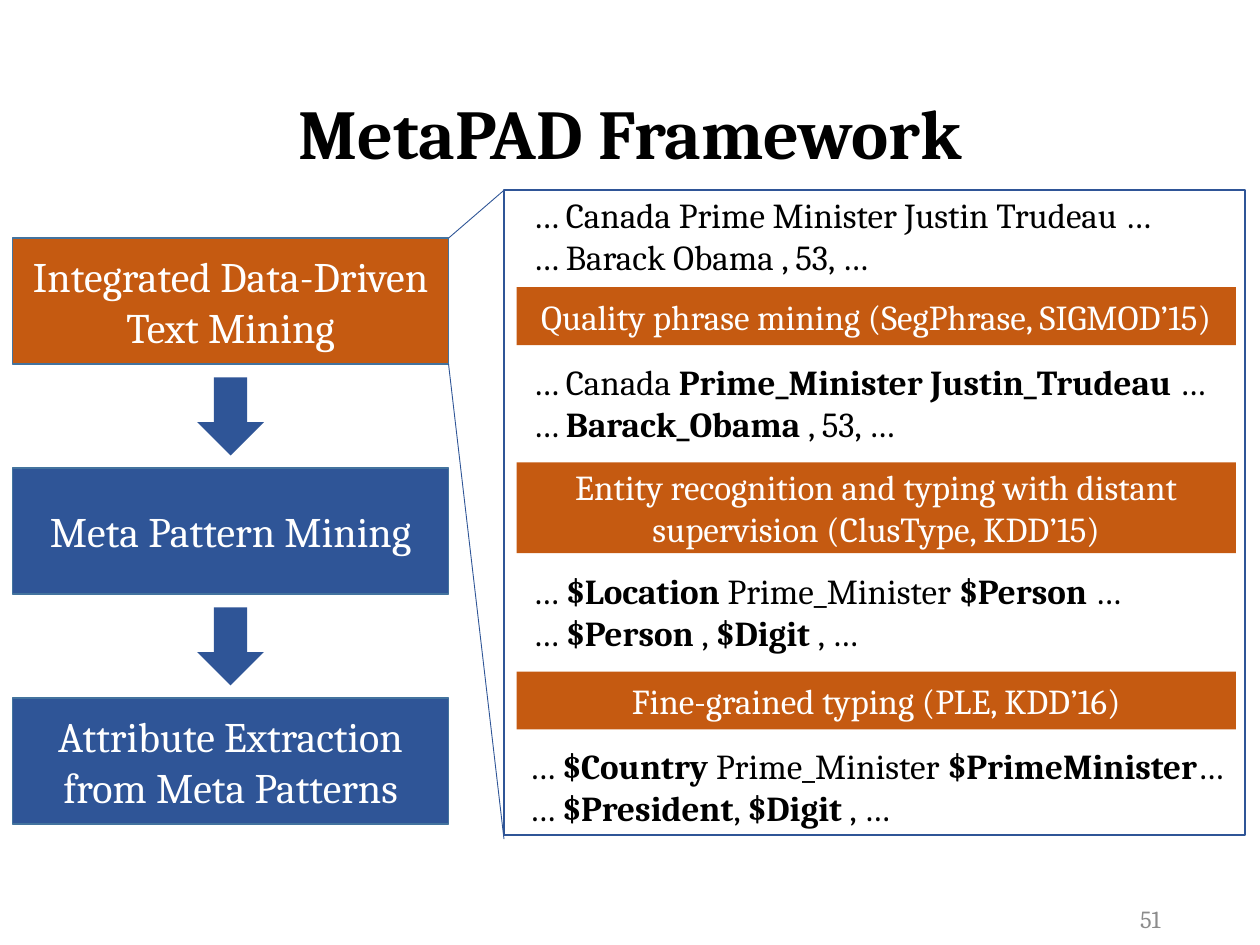
from lxml.etree import SubElement
from pptx import Presentation
from pptx.dml.color import RGBColor
from pptx.enum.shapes import MSO_CONNECTOR, MSO_SHAPE
from pptx.enum.text import MSO_ANCHOR, MSO_AUTO_SIZE, PP_ALIGN
from pptx.oxml.ns import qn
from pptx.util import Inches, Pt

BLUE, ORANGE, EDGE = "2F5597", "C55A11", "43739E"
BLACK, WHITE, GRAY = "000000", "FFFFFF", "8C8C8C"


def paint(target, color):
    """Set a solid colour on a fill, or a colour on a font or line."""
    if hasattr(target, "solid"):
        target.solid()
        target.fore_color.rgb = RGBColor.from_string(color)
    else:
        target.color.rgb = RGBColor.from_string(color)


def write(shape, text, size=20, color=BLACK, bold=False, align=PP_ALIGN.LEFT,
          anchor=MSO_ANCHOR.TOP, wrap=True, space=None):
    """Fill a shape with text; parts between asterisks turn bold."""
    frame = shape.text_frame
    frame.word_wrap = wrap
    frame.auto_size = MSO_AUTO_SIZE.NONE if wrap else MSO_AUTO_SIZE.SHAPE_TO_FIT_TEXT
    frame.vertical_anchor = anchor
    for i, line in enumerate(text.split("\n")):
        para = frame.add_paragraph() if i else frame.paragraphs[0]
        para.alignment = align
        if space:
            para.line_spacing = space
        for j, part in enumerate(line.split("*")):
            if part:
                run = para.add_run()
                run.text = part
                run.font.name = "Cambria"
                run.font.size = Pt(size)
                run.font.bold = bold or j % 2 == 1
                paint(run.font, color)


class Deck:
    def __init__(self, slide):
        self.shapes = slide.shapes

    def text(self, x, y, w, h, text, **style):
        box = self.shapes.add_textbox(Inches(x), Inches(y), Inches(w), Inches(h))
        write(box, text, **style)

    def shape(self, x, y, w, h, fill=None, edge=None, kind=MSO_SHAPE.RECTANGLE):
        item = self.shapes.add_shape(kind, Inches(x), Inches(y), Inches(w), Inches(h))
        item.shadow.inherit = False
        if fill:
            paint(item.fill, fill)
        else:
            item.fill.background()
        if edge:
            paint(item.line, edge)
            item.line.width = Pt(1)
        else:
            item.line.fill.background()
        return item

    def block(self, x, y, w, h, text, fill, edge=None, size=20):
        item = self.shape(x, y, w, h, fill, edge)
        write(item, text, size=size, color=WHITE, align=PP_ALIGN.CENTER,
              anchor=MSO_ANCHOR.MIDDLE)

    def line(self, x1, y1, x2, y2):
        item = self.shapes.add_connector(
            MSO_CONNECTOR.STRAIGHT, Inches(x1), Inches(y1), Inches(x2), Inches(y2))
        paint(item.line, BLUE)
        item.line.width = Pt(0.5)
        SubElement(item._element.spPr, qn("a:effectLst"))


def main():
    show = Presentation()
    show.slide_width, show.slide_height = Inches(10), Inches(7.5)
    deck = Deck(show.slides.add_slide(show.slide_layouts[6]))

    # Title and page number
    deck.text(0.69, 0.67, 8.62, 0.84, "MetaPAD Framework", size=40, bold=True,
              align=PP_ALIGN.CENTER, anchor=MSO_ANCHOR.MIDDLE, space=0.9)
    deck.text(7.06, 7.17, 2.25, 0.25, "51", size=14, color=GRAY,
              align=PP_ALIGN.RIGHT, anchor=MSO_ANCHOR.MIDDLE)

    # Three stages, with an arrow between each pair
    left, top, width, high, step = 0.1, 1.89, 3.46, 1, 1.825
    stages = [("Integrated Data-Driven Text Mining", ORANGE),
              ("Meta Pattern Mining", BLUE),
              ("Attribute Extraction from Meta Patterns", BLUE)]
    for i, (name, fill) in enumerate(stages):
        y = top + i * step
        deck.block(left, y, width, high, name, fill, EDGE, size=24)
        if i:
            deck.shape(left + (width - 0.53) / 2, y - 0.72, 0.53, 0.62, BLUE,
                       kind=MSO_SHAPE.DOWN_ARROW)

    # Steps of the first stage
    steps = [(2.28, 0.46, "Quality phrase mining (SegPhrase, SIGMOD’15)"),
             (3.67, 0.72, "Entity recognition and typing with distant "
                          "supervision (ClusType, KDD’15)"),
             (5.33, 0.46, "Fine-grained typing (PLE, KDD’16)")]
    for y, h, name in steps:
        deck.block(4.1, y, 5.71, h, name, ORANGE)

    # Sample text before and after each step
    samples = [
        (4.13, 1.49, 5.21, "… Canada Prime Minister Justin Trudeau …\n"
                           "… Barack Obama , 53, …"),
        (4.13, 2.81, 5.68, "… Canada *Prime_Minister Justin_Trudeau *…\n"
                           "… *Barack_Obama *, 53, …"),
        (4.13, 4.47, 4.96, "… *$Location *Prime_Minister *$Person *…\n"
                           "… *$Person *, *$Digit *, …"),
        (4.1, 5.86, 5.78, "… *$Country *Prime_Minister *$PrimeMinister*…\n"
                          "… *$President*, *$Digit *, …")]
    for x, y, w, words in samples:
        deck.text(x, y, w, 0.77, words, wrap=False)

    # Frame and the lines that tie it to the first stage
    deck.shape(4, 1.51, 5.88, 5.12, edge=BLUE)
    deck.line(left + width, top, 4, 1.51)
    deck.line(left + width, top + high, 4, 6.66)

    show.save("out.pptx")


if __name__ == "__main__":
    main()
